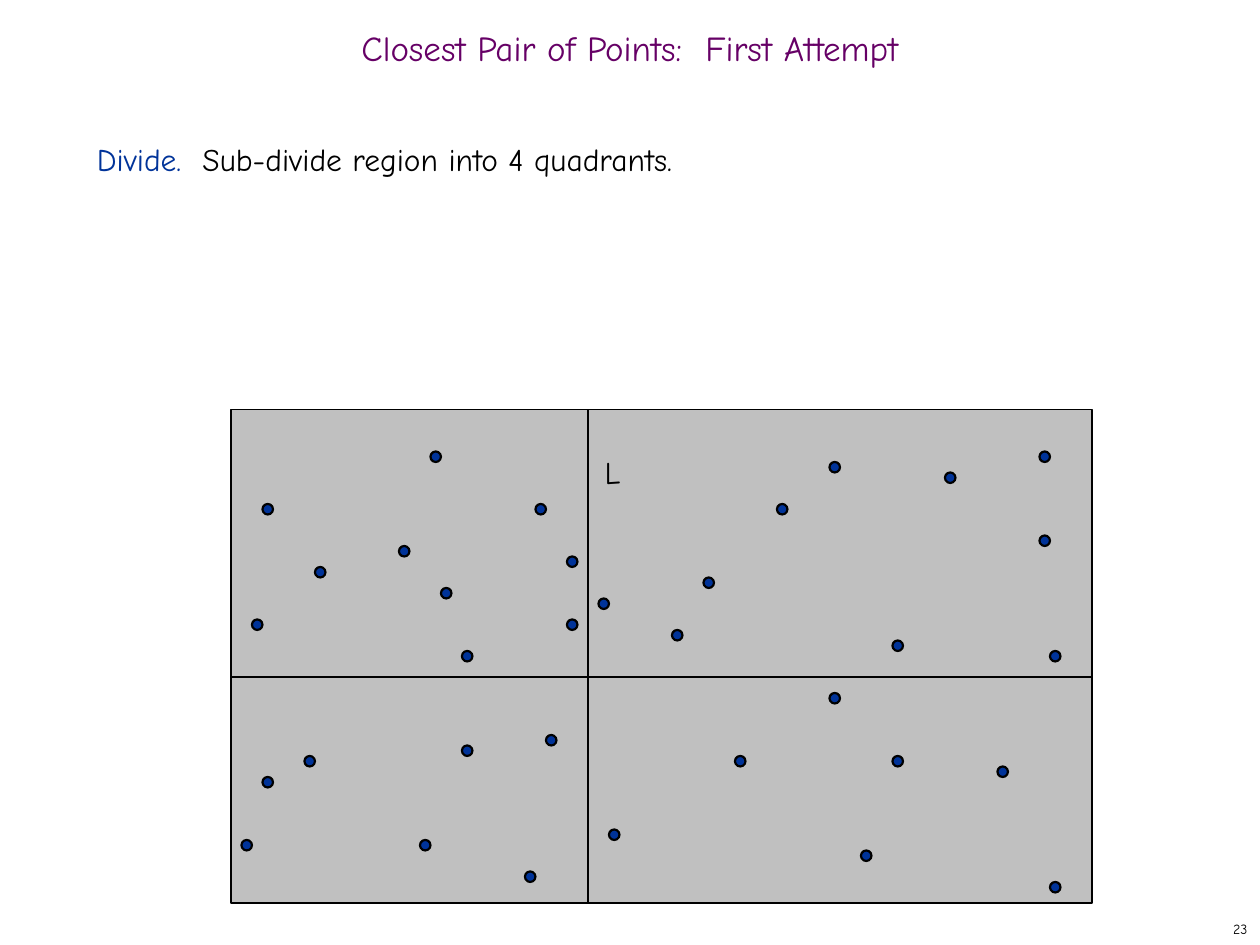
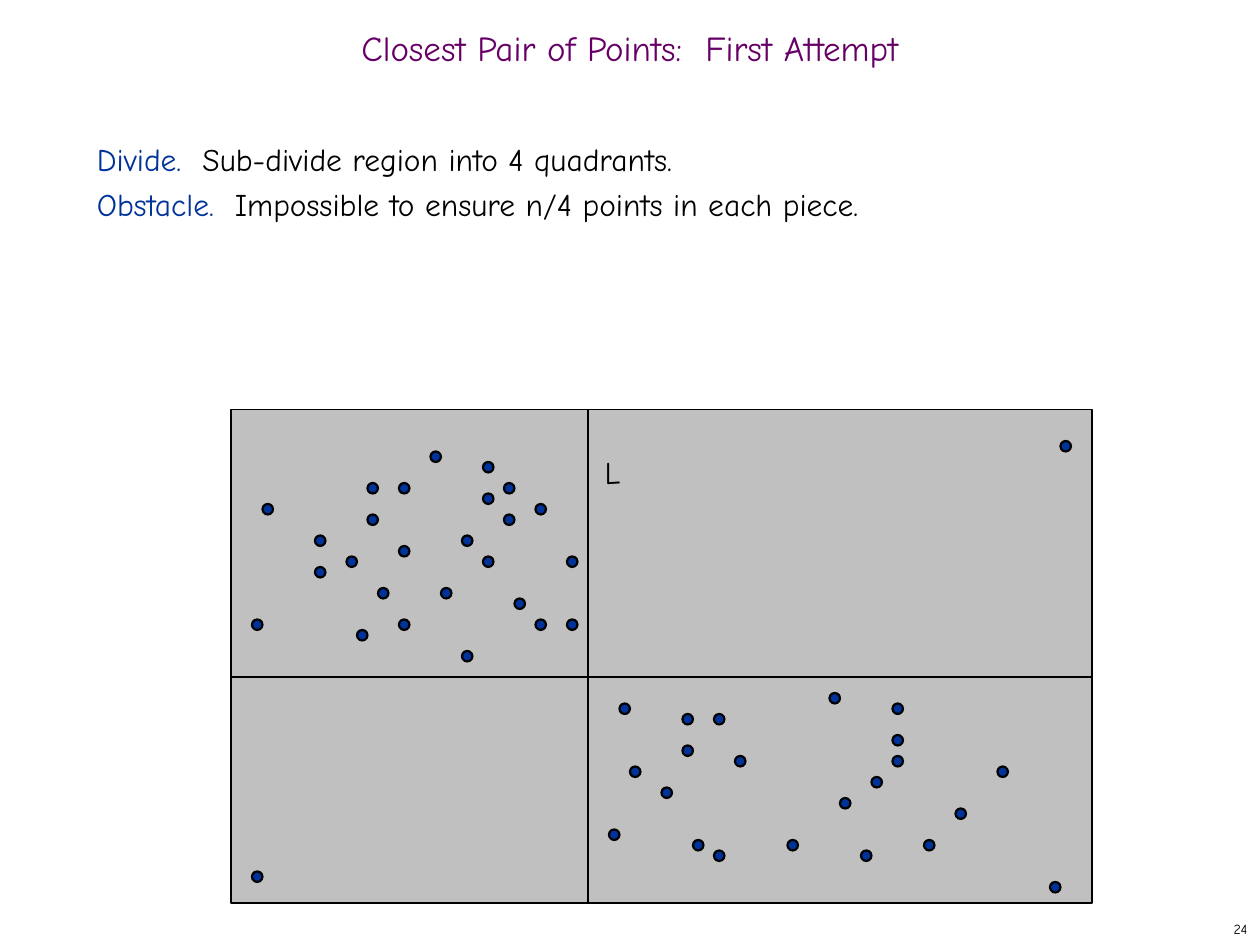
from collections import namedtuple

from lxml.etree import SubElement
from pptx import Presentation
from pptx.dml.color import RGBColor
from pptx.enum.shapes import MSO_CONNECTOR as Connector, MSO_SHAPE as Shape
from pptx.enum.text import MSO_ANCHOR as Anchor, MSO_AUTO_SIZE as AutoSize, PP_ALIGN as Align
from pptx.oxml.ns import qn
from pptx.util import Inches, Pt

Box = namedtuple("Box", "left top width height")

COLORS = {
    "title": "660066",
    "accent": "003399",
    "ink": "000000",
    "region": "C0C0C0",
}
FONT = "Comic Neue"
TITLE = "Closest Pair of Points:  First Attempt"
DIVIDE = ("Divide.  ", "Sub-divide region into 4 quadrants.")
OBSTACLE = ("Obstacle.  ", "Impossible to ensure n/4 points in each piece.")

CELL = 1 / 12
TITLE_BOX = Box(0, 0.17, 10, 0.5)
BODY_BOX = Box(0.67, 1, 8.58, 5.92)
NUMBER_BOX = Box(7.92, 7.25, 2.08, 0.25)
REGION_BOX = Box(22 * CELL, 39 * CELL, 82 * CELL, 47 * CELL)
SPLIT_COLUMN, SPLIT_ROW = 34, 25.5

SHARED_POINTS = [
    (8, 15), (32, 14), (36, 40), (3, 9), (16, 13), (19, 4), (20, 17), (29, 9), (78, 45),
    (2, 20), (22, 23), (32, 20), (48, 33), (57, 27), (60, 42), (63, 33), (73, 34),
]
SPREAD_POINTS = [
    (22, 32), (52, 9), (45, 16), (42, 21), (57, 5), (63, 22), (35, 18), (30, 31), (3, 35),
    (7, 33), (28, 44), (1, 41), (18, 41), (77, 12), (68, 6), (77, 4), (78, 23),
]
CLUSTERED_POINTS = [
    (22, 12), (53, 41), (16, 7), (27, 18), (58, 37), (46, 29), (37, 28), (24, 5), (8, 12),
    (12, 21), (44, 41), (2, 44), (38, 34), (24, 8), (69, 38), (79, 3), (14, 17), (11, 14),
    (16, 20), (13, 7), (13, 10), (61, 35), (66, 41), (63, 28), (63, 31), (24, 14), (29, 20),
    (26, 7), (26, 10), (41, 36), (46, 42), (43, 29), (43, 32),
]
SLIDES = [
    (23, [DIVIDE], SHARED_POINTS + SPREAD_POINTS),
    (24, [DIVIDE, OBSTACLE], SHARED_POINTS + CLUSTERED_POINTS),
]


def rgb(name):
    return RGBColor.from_string(COLORS[name])


def inches(box):
    return [Inches(length) for length in box]


def add_span(para, text, size, color):
    span = para.add_run()
    span.text = text
    span.font.name = FONT
    span.font.size = Pt(size)
    span.font.color.rgb = rgb(color)


def add_text_frame(page, box, anchor=Anchor.TOP, wrap=True):
    frame = page.shapes.add_textbox(*inches(box)).text_frame
    frame.word_wrap = wrap
    frame.vertical_anchor = anchor
    return frame


def add_line_of_text(page, box, text, size, color, align, anchor=Anchor.TOP, wrap=True):
    frame = add_text_frame(page, box, anchor, wrap)
    para = frame.paragraphs[0]
    para.alignment = align
    add_span(para, text, size, color)
    return frame


def add_filled_shape(page, kind, box, fill, line_width):
    shape = page.shapes.add_shape(kind, *inches(box))
    shape.shadow.inherit = False
    shape.fill.solid()
    shape.fill.fore_color.rgb = rgb(fill)
    shape.line.color.rgb = rgb("ink")
    shape.line.width = Pt(line_width)


def add_split_line(page, *ends):
    line = page.shapes.add_connector(Connector.STRAIGHT, *inches(ends))
    line.line.color.rgb = rgb("ink")
    line.line.width = Pt(1)
    SubElement(line._element.spPr, qn("a:effectLst"))


def add_title(page, box):
    frame = add_line_of_text(page, box, TITLE, 20, "title", Align.CENTER, Anchor.MIDDLE)
    frame.paragraphs[0].line_spacing = 0.7


def add_statements(page, box, statements):
    frame = add_text_frame(page, box)
    for index, (term, statement) in enumerate(statements):
        para = frame.add_paragraph() if index else frame.paragraphs[0]
        para.line_spacing = Pt(26)
        add_span(para, term, 18, "accent")
        add_span(para, statement, 18, "ink")


def add_region(page, box, points):
    add_filled_shape(page, Shape.RECTANGLE, box, "region", 1)
    for column, row in points:
        dot = Box(box.left + column * CELL, box.top + row * CELL, CELL, CELL)
        add_filled_shape(page, Shape.OVAL, dot, "accent", 1.25)

    split_x = box.left + SPLIT_COLUMN * CELL
    split_y = box.top + SPLIT_ROW * CELL
    add_split_line(page, split_x, box.top, split_x, box.top + box.height)
    add_split_line(page, box.left, split_y, box.left + box.width, split_y)

    label_box = Box(split_x - 0.08, box.top + 0.3, 0.55, 0.4)
    label = add_line_of_text(page, label_box, "L", 18, "ink", Align.CENTER)
    label.auto_size = AutoSize.SHAPE_TO_FIT_TEXT
    label.paragraphs[0].space_before = Pt(11.2)


def add_attempt_slide(deck, number, statements, points):
    page = deck.slides.add_slide(deck.slide_layouts[6])
    add_line_of_text(page, NUMBER_BOX, str(number), 8, "ink", Align.RIGHT, Anchor.MIDDLE, False)
    add_title(page, TITLE_BOX)
    add_statements(page, BODY_BOX, statements)
    add_region(page, REGION_BOX, points)


def main():
    deck = Presentation()
    deck.slide_width = Inches(10)
    deck.slide_height = Inches(7.5)
    for number, statements, points in SLIDES:
        add_attempt_slide(deck, number, statements, points)
    deck.save("out.pptx")


if __name__ == "__main__":
    main()
